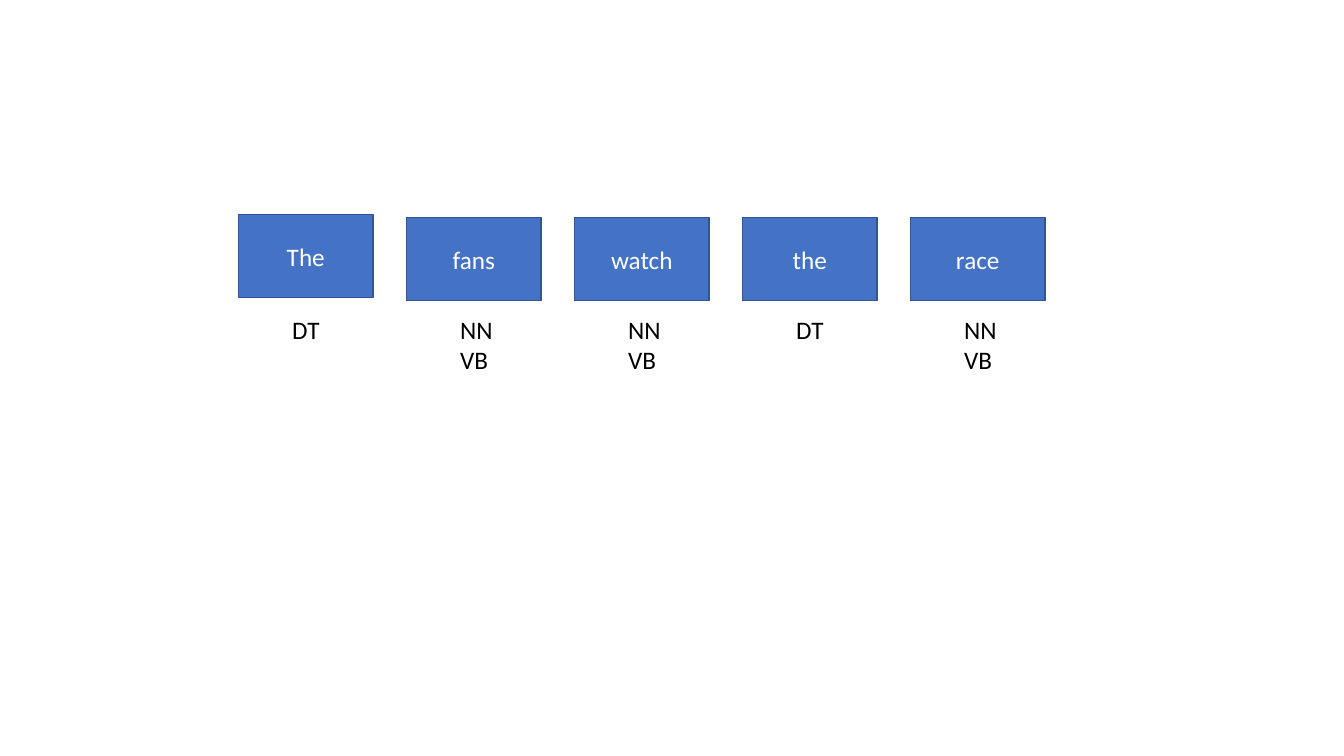
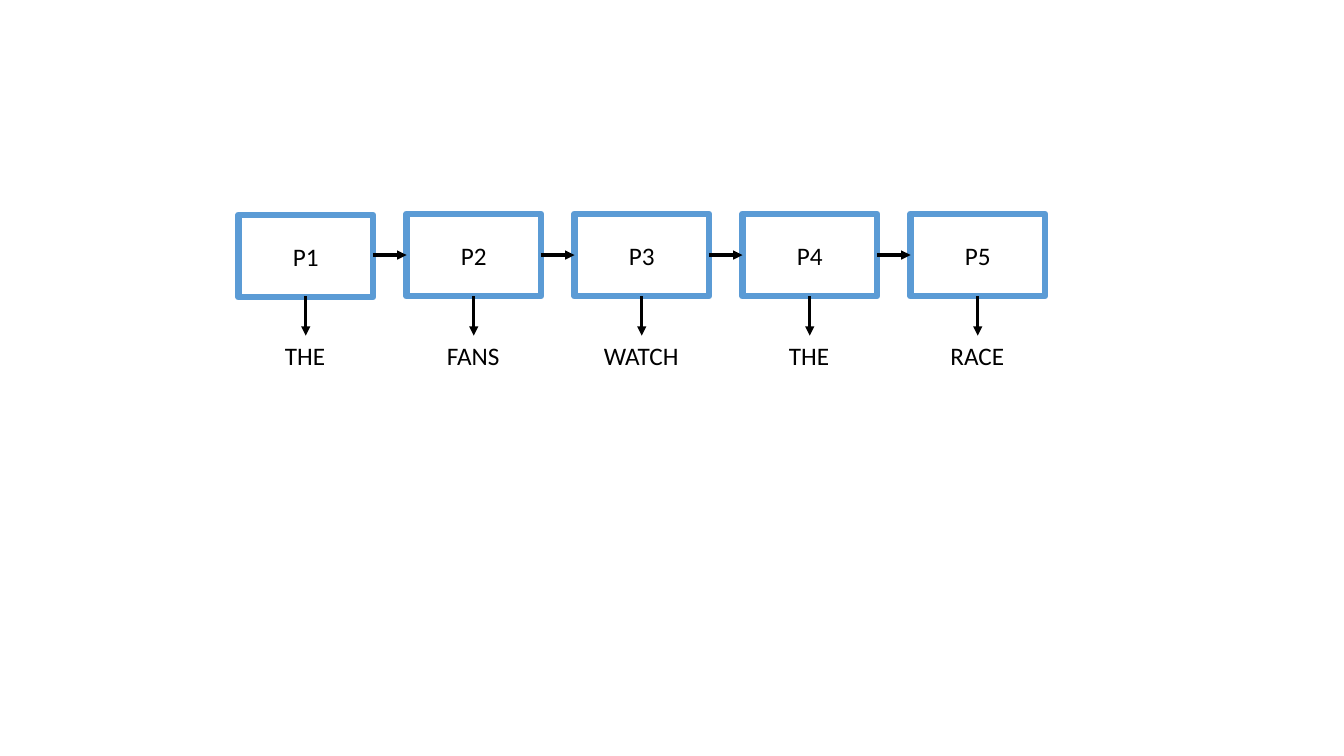
import dataclasses
import typing

import lxml.etree
import pptx
import pptx.dml.color
import pptx.enum.shapes
import pptx.enum.text
import pptx.oxml.ns
import pptx.util


# Theme: colours and type sizes
@dataclasses.dataclass(frozen=True)
class Theme:
    font: str = "Calibri"
    text_size: float = 18
    white: str = "FFFFFF"
    black: str = "000000"
    word_fill: str = "4472C4"
    word_edge: str = "325491"
    state_edge: str = "5B9BD5"
    word_line: float = 1
    state_line: float = 4.5
    arrow_line: float = 2.25


THEME = Theme()

# Grid: the page is 80 columns by 75 rows
PAGE_WIDTH = pptx.util.Inches(13.333)
PAGE_HEIGHT = pptx.util.Inches(7.5)
COLUMNS, ROWS = 80, 75
FIRST_COLUMN, PITCH = 14.2, 10
BOX_WIDTH, BOX_HEIGHT = 8, 8.2
TAG_TOP, TAG_INDENT = 30.7, 2.6
ARROW_ROW, BOX_BOTTOM, LABEL_TOP = 25.3, 29.4, 33.3
LINE_HEIGHT, TEXT_PADDING = 3.05, 1


class Word(typing.NamedTuple):
    text: str
    tags: tuple[str, ...]
    tag_width: float
    top: float = 21.6


class State(typing.NamedTuple):
    name: str
    label: str
    label_width: float
    top: float = 21.2


class BoxStyle(typing.NamedTuple):
    fill: str
    edge: str
    line: float
    ink: str


WORD_STYLE = BoxStyle(THEME.word_fill, THEME.word_edge, THEME.word_line, THEME.white)
STATE_STYLE = BoxStyle(THEME.white, THEME.state_edge, THEME.state_line, THEME.black)

WORDS = (
    Word("The", ("DT",), 2.9, top=21.3),
    Word("fans", ("NN", "VB"), 3.2),
    Word("watch", ("NN", "VB"), 3.2),
    Word("the", ("DT",), 2.9),
    Word("race", ("NN", "VB"), 3.2),
)
STATES = (
    State("P1", "THE", 3.66, top=21.3),
    State("P2", "FANS", 4.38),
    State("P3", "WATCH", 5.7),
    State("P4", "THE", 3.66),
    State("P5", "RACE", 4.44),
)


# Drawing functions
def across(columns: float) -> int:
    return round(PAGE_WIDTH * columns / COLUMNS)


def down(rows: float) -> int:
    return round(PAGE_HEIGHT * rows / ROWS)


def column_of(index: int) -> float:
    return FIRST_COLUMN + index * PITCH


def colour(code: str) -> pptx.dml.color.RGBColor:
    return pptx.dml.color.RGBColor.from_string(code)


def write(frame, lines: tuple[str, ...], *, ink: str = THEME.black,
          align=pptx.enum.text.PP_ALIGN.LEFT) -> None:
    for number, line in enumerate(lines):
        para = frame.add_paragraph() if number else frame.paragraphs[0]
        para.alignment = align
        span = para.add_run()
        span.text = line
        span.font.name = THEME.font
        span.font.size = pptx.util.Pt(THEME.text_size)
        span.font.color.rgb = colour(ink)


def draw_box(page, text: str, left: float, top: float, style: BoxStyle) -> None:
    box = page.shapes.add_shape(
        pptx.enum.shapes.MSO_SHAPE.RECTANGLE,
        across(left), down(top), across(BOX_WIDTH), down(BOX_HEIGHT))
    box.shadow.inherit = False
    box.fill.solid()
    box.fill.fore_color.rgb = colour(style.fill)
    box.line.color.rgb = colour(style.edge)
    box.line.width = pptx.util.Pt(style.line)
    box.text_frame.vertical_anchor = pptx.enum.text.MSO_ANCHOR.MIDDLE
    write(box.text_frame, (text,), ink=style.ink,
          align=pptx.enum.text.PP_ALIGN.CENTER)


def draw_text(page, lines: tuple[str, ...], left: float, top: float,
              width: float) -> None:
    height = TEXT_PADDING + LINE_HEIGHT * len(lines)
    box = page.shapes.add_textbox(across(left), down(top), across(width), down(height))
    box.text_frame.word_wrap = False
    box.text_frame.auto_size = pptx.enum.text.MSO_AUTO_SIZE.SHAPE_TO_FIT_TEXT
    write(box.text_frame, lines)


def draw_arrow(page, start: tuple[float, float], end: tuple[float, float]) -> None:
    arrow = page.shapes.add_connector(
        pptx.enum.shapes.MSO_CONNECTOR.STRAIGHT,
        across(start[0]), down(start[1]), across(end[0]), down(end[1]))
    arrow.line.color.rgb = colour(THEME.black)
    arrow.line.width = pptx.util.Pt(THEME.arrow_line)
    qualified = pptx.oxml.ns.qn
    lxml.etree.SubElement(arrow.line._get_or_add_ln(), qualified("a:tailEnd"),
                          type="triangle")
    lxml.etree.SubElement(arrow._element.spPr, qualified("a:effectLst"))


# Pages
def draw_tagged_words(page) -> None:
    for index, word in enumerate(WORDS):
        left = column_of(index)
        draw_box(page, word.text, left, word.top, WORD_STYLE)
        draw_text(page, word.tags, left + TAG_INDENT, TAG_TOP, word.tag_width)


def draw_state_chain(page) -> None:
    for index, state in enumerate(STATES):
        draw_box(page, state.name, column_of(index), state.top, STATE_STYLE)
    for index, state in enumerate(STATES):
        left = column_of(index)
        middle = left + BOX_WIDTH / 2
        draw_arrow(page, (middle, BOX_BOTTOM), (middle, LABEL_TOP))
        draw_text(page, (state.label,), middle - state.label_width / 2,
                  LABEL_TOP, state.label_width)
        if index < len(STATES) - 1:
            draw_arrow(page, (left + BOX_WIDTH, ARROW_ROW),
                       (left + PITCH, ARROW_ROW))


def main() -> None:
    deck = pptx.Presentation()
    deck.slide_width, deck.slide_height = PAGE_WIDTH, PAGE_HEIGHT
    for draw_page in (draw_tagged_words, draw_state_chain):
        draw_page(deck.slides.add_slide(deck.slide_layouts[6]))
    deck.save("out.pptx")


main()
